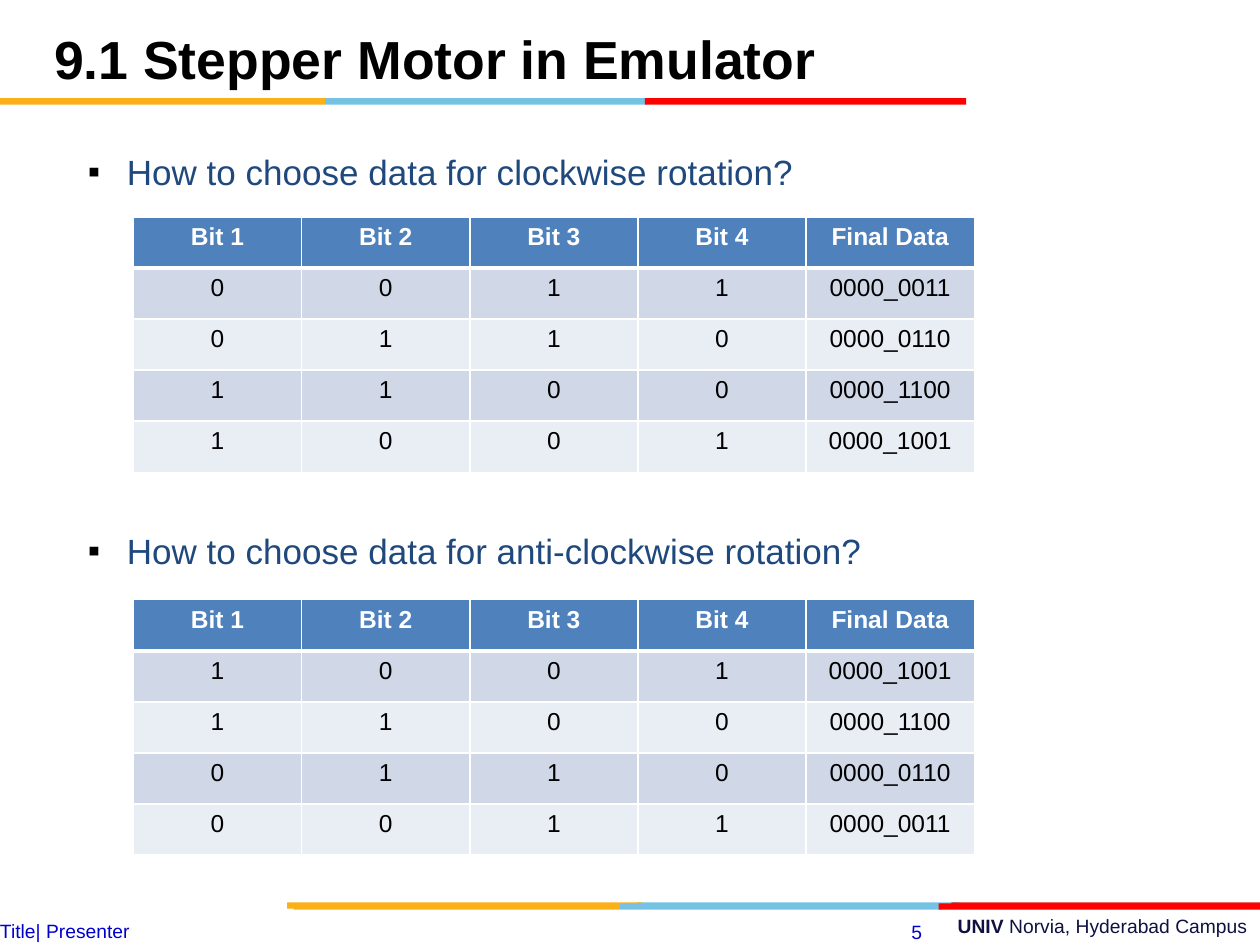
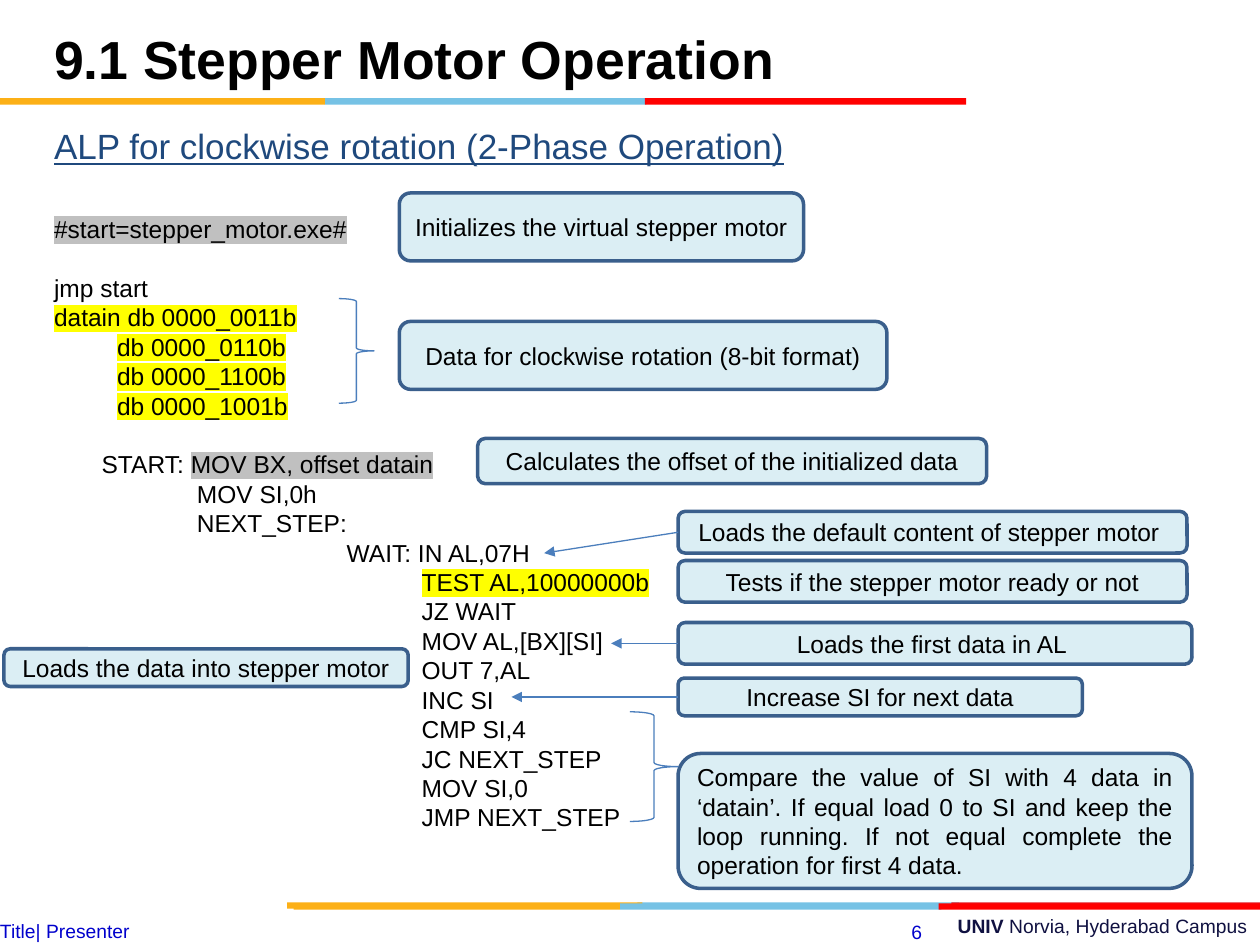
from dataclasses import dataclass

from lxml.etree import SubElement
from pptx import Presentation
from pptx.dml.color import RGBColor as RGB
from pptx.enum.shapes import MSO_CONNECTOR as CONN, MSO_SHAPE as SHAPE
from pptx.enum.text import MSO_ANCHOR as ANCHOR, PP_ALIGN as ALIGN
from pptx.oxml import parse_xml
from pptx.oxml.ns import nsdecls, qn
from pptx.util import Cm, Pt


@dataclass(frozen=True)
class Theme:
    font: str = "Arial"
    title: float = 30.6
    heading: int = 20
    body: int = 14
    footer: int = 11
    leading: float = 1.2
    black: str = "000000"
    white: str = "FFFFFF"
    navy: str = "1F497D"
    footer_ink: str = "101141"
    footer_blue: str = "0000CC"
    yellow: str = "FCB017"
    sky: str = "76C2E5"
    crimson: str = "E31C24"
    red: str = "FF0000"
    header_row: str = "4F81BD"
    odd_row: str = "D0D8E8"
    even_row: str = "E9EDF4"
    note_fill: str = "DBEEF4"
    note_line: str = "3A5F8C"
    pointer: str = "4B7EBC"
    mark_grey: str = "C0C0C0"
    mark_yellow: str = "FFFF00"


T = Theme()

CLOCKWISE = ["0011", "0110", "1100", "1001"]

# Code lines: (indent, plain text, marked text, mark colour, blank line above)
DEEP = 7.41
CODE = [
    (0, "", "#start=stepper_motor.exe#", T.mark_grey, False),
    (0, "jmp start", "", None, True),
    (0, "", "datain db 0000_0011b", T.mark_yellow, False),
    *[(0, "", f"\tdb 0000_{bits}b", T.mark_yellow, False) for bits in CLOCKWISE[1:]],
    (0.96, "START: ", "MOV BX, offset datain", T.mark_grey, True),
    (2.88, "MOV SI,0h", "", None, False),
    (2.88, "NEXT_STEP:", "", None, False),
    (5.9, "WAIT: IN AL,07H", "", None, False),
    (DEEP, "", "TEST AL,10000000b", T.mark_yellow, False),
    *[(DEEP, line, "", None, False) for line in (
        "JZ WAIT", "MOV AL,[BX][SI]", "OUT 7,AL", "INC SI", "CMP SI,4",
        "JC NEXT_STEP", "MOV SI,0", "JMP NEXT_STEP")],
]

# Notes relative to the code box: (left, top, width, height, text, arrow tip)
SIDE = 12.83
NOTES = [
    (7.21, -0.3, 8.15, 1.37, "Initializes the virtual stepper motor", None),
    (7.21, 2.29, 9.83, 1.37, "Data for clockwise rotation (8-bit format)", None),
    (8.79, 4.65, 10.26, 0.91, "Calculates the offset of the initialized data", None),
    (SIDE, 7.11, 10.26, 0.84, "Tests if the stepper motor ready or not", None),
    (SIDE, 8.36, 10.36, 0.84, "Loads the first data in AL ", (11.48, 8.78)),
    (SIDE, 6.12, 10.26, 0.84, "Loads the default content of stepper motor ", (10.13, 6.96)),
    (-0.76, 8.89, 8.15, 0.76, "Loads the data into stepper motor", None),
    (SIDE, 9.48, 8.15, 0.76, "Increase SI for next data", (9.47, 9.86)),
]
SUMMARY = (SIDE, 11, 10.36, 2.72,
           "Compare the value of SI with 4 data in ‘datain’. If equal load 0 to SI "
           "and keep the loop running. If not equal complete the operation for "
           "first 4 data.")
BRACES = [(11.86, 10.16, 0.97, 2.21), (5.99, 1.83, 0.71, 2.11)]


# Shared helpers
def style(r, size, color, bold=False):
    f = r.font
    f.name, f.size, f.bold = T.font, Pt(size), bold
    f.color.rgb = RGB.from_string(color)


def add_run(p, text, size, color, bold=False):
    r = p.add_run()
    r.text = text
    style(r, size, color, bold)
    return r


def highlight(r, color):
    mark = parse_xml(f'<a:highlight {nsdecls("a")}><a:srgbClr val="{color}"/></a:highlight>')
    r._r.rPr.find(qn("a:latin")).addprevious(mark)


def text_box(s, left, top, width, height, insets=True):
    tf = s.shapes.add_textbox(Cm(left), Cm(top), Cm(width), Cm(height)).text_frame
    tf.word_wrap = True
    if not insets:
        tf.margin_left = tf.margin_right = tf.margin_top = tf.margin_bottom = 0
    return tf


def add_shape(s, kind, left, top, width, height, fill=None, line=None, weight=1):
    sp = s.shapes.add_shape(kind, Cm(left), Cm(top), Cm(width), Cm(height))
    sp.shadow.inherit = False
    if fill:
        sp.fill.solid()
        sp.fill.fore_color.rgb = RGB.from_string(fill)
    else:
        sp.fill.background()
    if line:
        sp.line.color.rgb = RGB.from_string(line)
        sp.line.width = Pt(weight)
    else:
        sp.line.fill.background()
    return sp


# Slide frame: title, bands and footer
def band(s, top, segments):
    for left, width, color in segments:
        add_shape(s, SHAPE.RECTANGLE, left, top, width, 0.13, color)


def frame(prs, title, number):
    s = prs.slides.add_slide(prs.slide_layouts[6])

    p = text_box(s, 9.09, 18.31, 16.31, 0.74).paragraphs[0]
    p.alignment = ALIGN.RIGHT
    add_run(p, "UNIV ", T.footer, T.footer_ink, True)
    add_run(p, "Norvia, Hyderabad Campus", T.footer, T.footer_ink)

    band(s, 18.19, [(12.85, 6.48, T.sky), (19.18, 6.22, T.crimson), (5.79, 7.16, T.yellow)])
    band(s, 18.21, [(12.5, 6.48, T.sky), (5.92, 6.58, T.yellow), (18.92, 6.48, T.red)])
    band(s, 1.98, [(6.55, 6.48, T.sky), (0, 6.55, T.yellow), (13, 6.48, T.red)])

    p = text_box(s, 16.94, 18.42, 1.9, 0.71).paragraphs[0]
    p.alignment = ALIGN.RIGHT
    add_run(p, str(number), T.footer, T.footer_blue)
    p = text_box(s, 0, 18.54, 17.78, 0.48, insets=False).paragraphs[0]
    add_run(p, "Title| Presenter", T.footer, T.footer_blue)

    tf = text_box(s, 0.84, 0.61, 17.58, 1.37)
    tf.vertical_anchor = ANCHOR.MIDDLE
    p = tf.paragraphs[0]
    p.line_spacing = 0.8
    add_run(p, title, T.title, T.black, True)
    return s


# Question with its bit table
def set_cell(cell, text, row):
    head = row == 0
    p = cell.text_frame.paragraphs[0]
    p.text = text
    p.alignment = ALIGN.CENTER
    style(p.runs[0], T.body, T.white if head else T.black, head)
    cell.fill.solid()
    fill = T.header_row if head else T.odd_row if row % 2 else T.even_row
    cell.fill.fore_color.rgb = RGB.from_string(fill)
    weights = {"L": 1, "R": 1, "T": 3 if row == 1 else 1, "B": 3 if head else 1}
    for i, (side, weight) in enumerate(weights.items()):
        cell._tc.tcPr.insert(i, parse_xml(
            f'<a:ln{side} {nsdecls("a")} w="{Pt(weight)}"><a:solidFill>'
            f'<a:srgbClr val="{T.white}"/></a:solidFill></a:ln{side}>'))


def bit_table(s, left, top, codes):
    rows = [["Bit 1", "Bit 2", "Bit 3", "Bit 4", "Final Data"]]
    rows += [[*bits, f"0000_{bits}"] for bits in codes]
    n_rows, n_cols = len(rows), len(rows[0])
    table = s.shapes.add_table(n_rows, n_cols, Cm(left), Cm(top),
                               Cm(3.39 * n_cols), Cm(1.03 * n_rows)).table
    for i, row in enumerate(rows):
        for j, text in enumerate(row):
            set_cell(table.cell(i, j), text, i)


def question(s, left, top, text, table_drop, codes):
    p = text_box(s, left, top, 22.94, 1.1).paragraphs[0]
    p.line_spacing = Pt(T.heading * T.leading)
    add_run(p, text, T.heading, T.navy)
    pPr = p._p.get_or_add_pPr()
    pPr.set("marL", str(Cm(0.79)))
    pPr.set("indent", str(Cm(-0.79)))
    SubElement(SubElement(pPr, qn("a:buClr")), qn("a:srgbClr")).set("val", T.black)
    SubElement(pPr, qn("a:buFont")).set("typeface", T.font)
    SubElement(pPr, qn("a:buChar")).set("char", "▪")
    bit_table(s, left + 1.17, top + table_drop, codes)


# Code listing with notes
def listing(s, left, top):
    tf = text_box(s, left, top, 12.83, 12.83)
    for i, (indent, plain, marked, color, gap) in enumerate(CODE):
        p = tf.add_paragraph() if i else tf.paragraphs[0]
        p.line_spacing = Pt(T.body * T.leading)
        if gap:
            p.space_before = Pt(T.body * T.leading)
        if plain:
            add_run(p, plain, T.body, T.black)
        if marked:
            highlight(add_run(p, marked, T.body, T.black), color)
        pPr = p._p.get_or_add_pPr()
        pPr.set("marL", str(Cm(indent)))
        pPr.set("indent", "0")
        if marked.startswith("\t"):
            tab = SubElement(SubElement(pPr, qn("a:tabLst")), qn("a:tab"))
            tab.set("pos", str(Cm(1.51)))
            tab.set("algn", "l")


def note(s, left, top, width, height, text, align=ALIGN.CENTER, wrap=False):
    sp = add_shape(s, SHAPE.ROUNDED_RECTANGLE, left, top, width, height,
                   T.note_fill, T.note_line, 2)
    tf = sp.text_frame
    tf.word_wrap = wrap
    tf.vertical_anchor = ANCHOR.MIDDLE
    p = tf.paragraphs[0]
    p.alignment = align
    p.line_spacing = Pt(T.body * T.leading)
    add_run(p, text, T.body, T.black)


def arrow(s, x1, y1, x2, y2):
    c = s.shapes.add_connector(CONN.STRAIGHT, Cm(x1), Cm(y1), Cm(x2), Cm(y2))
    c.line.color.rgb = RGB.from_string(T.pointer)
    c.line.width = Pt(0.75)
    SubElement(c.line._get_or_add_ln(), qn("a:tailEnd")).set("type", "triangle")
    SubElement(c._element.spPr, qn("a:effectLst"))


def annotated_code(s, left, top):
    listing(s, left, top)
    for x, y, width, height, text, tip in NOTES:
        note(s, left + x, top + y, width, height, text)
        if tip:
            arrow(s, left + x, top + y + height / 2, left + tip[0], top + tip[1])
    x, y, width, height, text = SUMMARY
    note(s, left + x, top + y, width, height, text, ALIGN.JUSTIFY, wrap=True)
    for x, y, width, height in BRACES:
        add_shape(s, SHAPE.RIGHT_BRACE, left + x, top + y, width, height,
                  line=T.pointer, weight=0.75)


# Slides
def emulator_slide(prs):
    s = frame(prs, "9.1 Stepper Motor in Emulator", 5)
    question(s, 1.52, 2.9, "How to choose data for clockwise rotation?", 1.47, CLOCKWISE)
    question(s, 1.52, 10.54, "How to choose data for anti-clockwise rotation?", 1.55,
             CLOCKWISE[::-1])


def operation_slide(prs):
    s = frame(prs, "9.1 Stepper Motor Operation", 6)
    p = text_box(s, 0.84, 2.39, 16.08, 1.12).paragraphs[0]
    p.line_spacing = Pt(T.heading * T.leading)
    r = add_run(p, "ALP for clockwise rotation (2-Phase Operation)", T.heading, T.navy)
    r.font.underline = True
    annotated_code(s, 0.84, 4.19)


def main():
    prs = Presentation()
    prs.slide_width, prs.slide_height = Cm(25.4), Cm(19.05)
    emulator_slide(prs)
    operation_slide(prs)
    prs.save("out.pptx")


if __name__ == "__main__":
    main()
